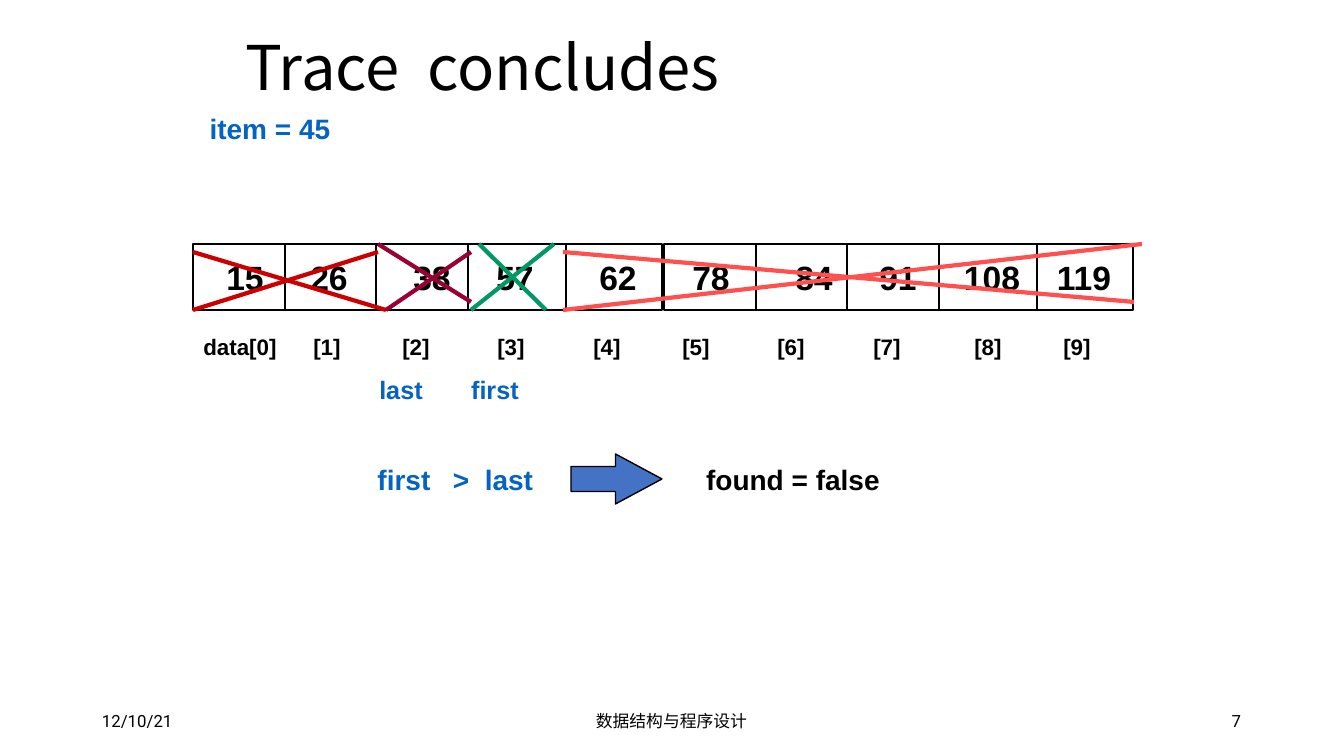
from lxml import etree
from pptx import Presentation
from pptx.dml.color import RGBColor
from pptx.enum.shapes import MSO_CONNECTOR, MSO_SHAPE
from pptx.enum.text import MSO_ANCHOR, PP_ALIGN
from pptx.oxml.ns import qn
from pptx.util import Pt

LINE = MSO_CONNECTOR.STRAIGHT
RECT, ARROW = MSO_SHAPE.RECTANGLE, MSO_SHAPE.RIGHT_ARROW
MID = MSO_ANCHOR.MIDDLE
LEFT, CENTER, RIGHT = PP_ALIGN.LEFT, PP_ALIGN.CENTER, PP_ALIGN.RIGHT
SCALE = 914400 / 100.8
BLACK, BLUE = "000000", "0563C1"

# Values and indices with their centres, measured from the strip's left edge
VALUES = [("15", 52), ("26", 136), ("38", 239), ("57", 322), ("62", 425),
          ("78", 518), ("84", 621), ("91", 705), ("108", 799), ("119", 891)]
INDICES = [("data[0]", 47), ("[1]", 134), ("[2]", 223), ("[3]", 318),
           ("[4]", 414), ("[5]", 503), ("[6]", 598), ("[7]", 694),
           ("[8]", 795), ("[9]", 884)]
# Cross-out strokes from the strip's corner: colour, x1, y1, x2, y2
STROKES = [("FF5050", 370, 66, 949, 0), ("FF5050", 370, 8, 941, 58),
           ("CC0000", 0, 8, 193, 66), ("CC0000", 0, 66, 185, 8),
           ("990033", 185, 0, 278, 58), ("990033", 193, 66, 278, 8),
           ("009966", 286, 0, 353, 66), ("009966", 278, 66, 361, 0)]


def px(n):
    return round(n * SCALE)


def color(code):
    return RGBColor.from_string(code)


def style(run, size, font, code, bold=False):
    run.font.size, run.font.name = Pt(size), font
    run.font.bold, run.font.color.rgb = bold, color(code)


def text(slide, box, words, size, code=BLACK, font="Arial", bold=True,
         align=CENTER):
    frame = slide.shapes.add_textbox(*map(px, box)).text_frame
    frame.word_wrap, frame.vertical_anchor = True, MID
    frame.margin_left = frame.margin_right = 0
    frame.margin_top = frame.margin_bottom = 0
    frame.text = words
    para = frame.paragraphs[0]
    para.alignment = align
    style(para.runs[0], size, font, code, bold)


def label(slide, mid, y, words, size, code=BLACK, width=100):
    text(slide, (mid - width / 2, y - 20, width, 40), words, size, code)


def line(slide, x1, y1, x2, y2, code, width):
    part = slide.shapes.add_connector(LINE, px(x1), px(y1), px(x2), px(y2))
    part.line.color.rgb, part.line.width = color(code), Pt(width)
    etree.SubElement(part._element.spPr, qn("a:effectLst"))


def shape(slide, kind, box, fill=None):
    part = slide.shapes.add_shape(kind, *map(px, box))
    part.shadow.inherit = False
    part.line.color.rgb, part.line.width = color(BLACK), Pt(1)
    if fill:
        part.fill.solid()
        part.fill.fore_color.rgb = color(fill)
    else:
        part.fill.background()
    return part


def title(slide, box):
    head = slide.shapes.title
    head.left, head.top, head.width, head.height = map(px, box)
    head.text_frame.vertical_anchor = MID
    para = head.text_frame.paragraphs[0]
    para.alignment, para.line_spacing = LEFT, 0.9
    for word in ("Trace", " ", "concludes"):
        run = para.add_run()
        run.text = word
        style(run, 44, "Noto Sans CJK SC", BLACK)
    # Widen the gap between the words
    para.runs[1]._r.get_or_add_rPr().set("spc", "990")


def half(slide, x, y, w, h):
    shape(slide, RECT, (x, y, w, h))
    for step in (92, 183, 275, 373):
        line(slide, x + step, y, x + step, y + h, BLACK, 1)


def strip(slide, x, y, w, h):
    # Cells in two halves of five
    wide = (w - 2) / 2
    for left in (x, x + wide + 2):
        half(slide, left, y, wide, h)
    for words, mid in VALUES:
        label(slide, x + mid, y + 33, words, 24)
    for words, mid in INDICES:
        label(slide, x + mid, y + 103, words, 16)
    for words, mid in (("last", 208), ("first", 302)):
        label(slide, x + mid, y + 145, words, 18, BLUE)
    # Discarded cells
    for code, x1, y1, x2, y2 in STROKES:
        line(slide, x + x1, y + y1, x + x2, y + y2, code, 3)


def result(slide, x, y, w, h):
    mid = y + h / 2
    for words, at in (("first", 27), (">", 84), ("last", 132)):
        label(slide, x + at, mid, words, 20, BLUE)
    arrow = shape(slide, ARROW, (x + 194, y, 91, h), "4472C4")
    arrow.adjustments[0], arrow.adjustments[1] = 0.5, 0.93
    label(slide, x + w - 87, mid, "found = false", 20, width=200)


def footer(slide, x, y, w, h):
    third = w / 3
    parts = (("12/10/21", LEFT), ("数据结构与程序设计", CENTER), ("7", RIGHT))
    for i, (words, align) in enumerate(parts):
        text(slide, (x + i * third, y, third, h), words, 12,
             font="Roboto", bold=False, align=align)


def main():
    deck = Presentation()
    deck.slide_width, deck.slide_height = px(1344), px(756)
    slide = deck.slides.add_slide(deck.slide_layouts[5])
    title(slide, (235, 25, 874, 92))
    label(slide, 270, 128, "item = 45", 20, BLUE, 160)
    strip(slide, 193, 244, 940, 66)
    result(slide, 377, 454, 503, 50)
    footer(slide, 102, 701, 1139, 40)
    deck.save("out.pptx")


main()
